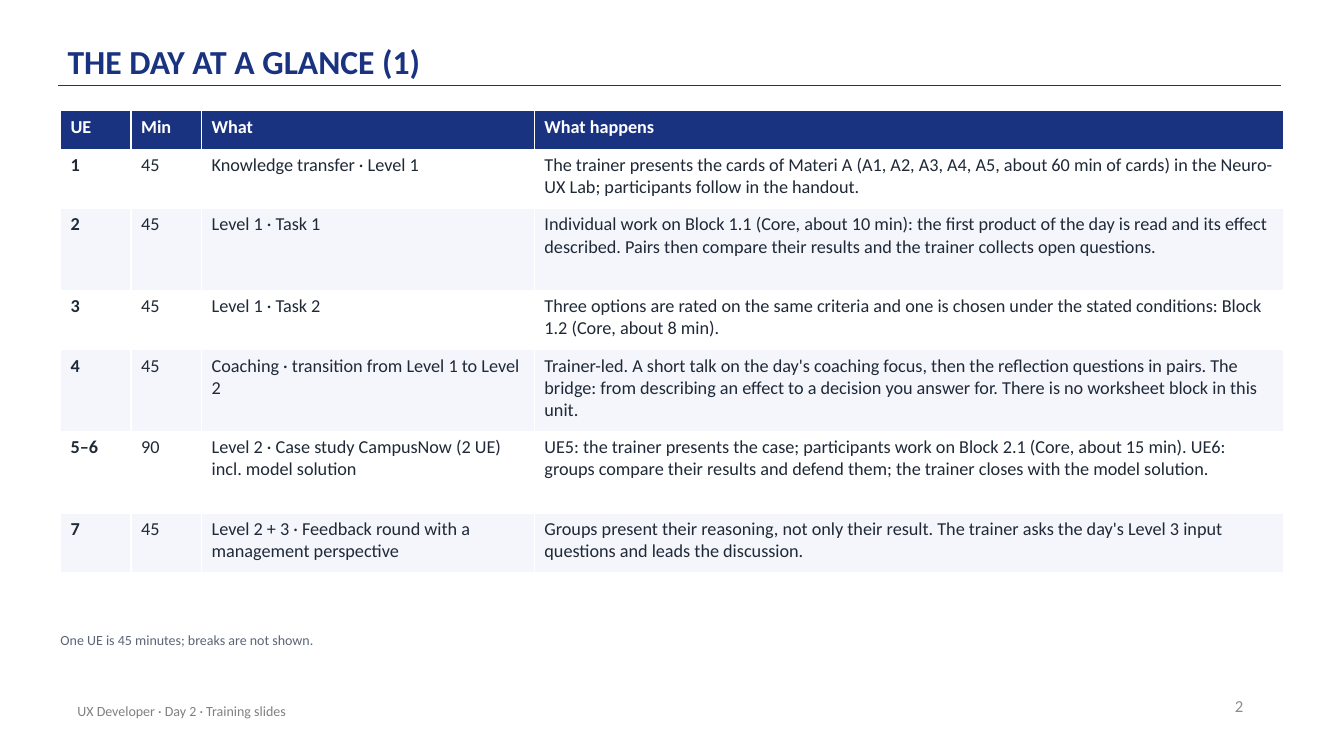
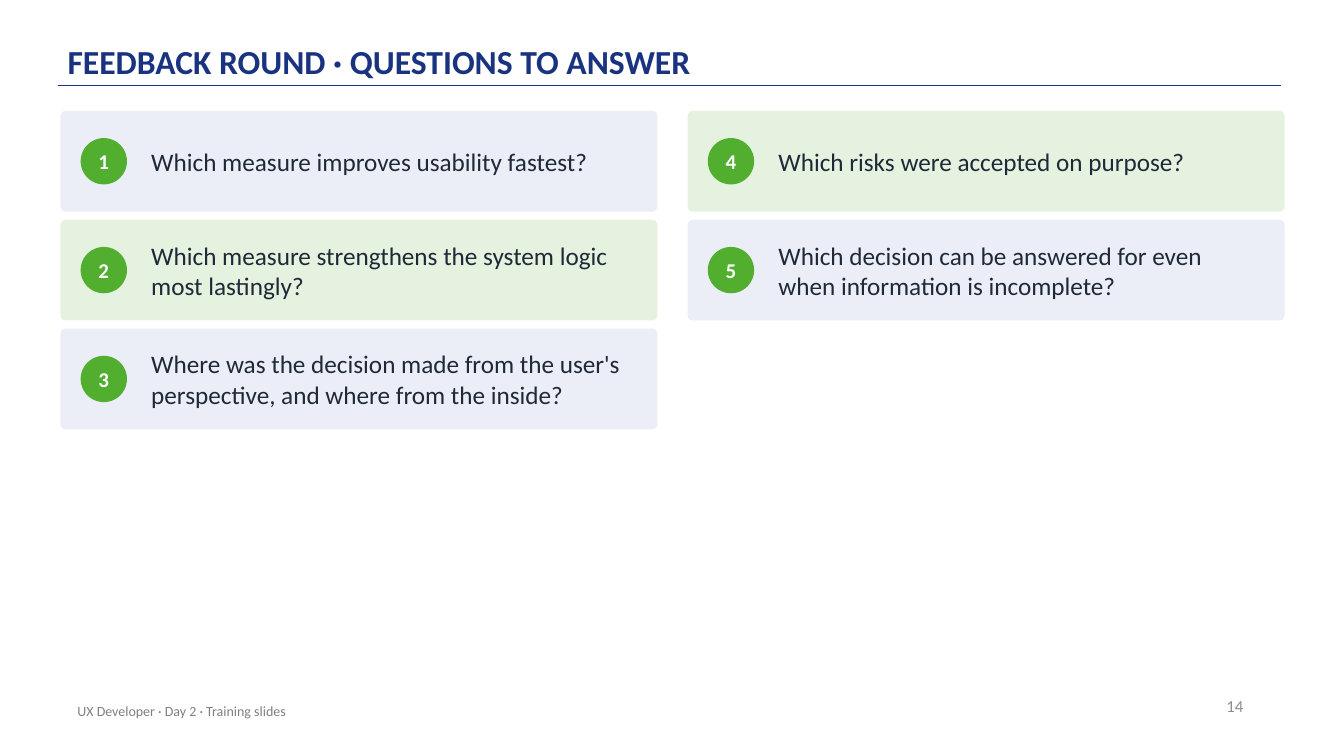
from dataclasses import dataclass
from lxml import etree
from pptx import Presentation
from pptx.dml.color import RGBColor
from pptx.enum.shapes import MSO_CONNECTOR, MSO_SHAPE
from pptx.enum.text import MSO_ANCHOR, MSO_AUTO_SIZE, PP_ALIGN
from pptx.oxml.ns import qn
from pptx.util import Inches, Pt

LEFT, MID, RIGHT = PP_ALIGN.LEFT, PP_ALIGN.CENTER, PP_ALIGN.RIGHT
CENTER, BOTTOM, TOP = MSO_ANCHOR.MIDDLE, MSO_ANCHOR.BOTTOM, MSO_ANCHOR.TOP
ROUND, OVAL = MSO_SHAPE.ROUNDED_RECTANGLE, MSO_SHAPE.OVAL
STRAIGHT, FIXED = MSO_CONNECTOR.STRAIGHT, MSO_AUTO_SIZE.NONE

# Content
FOOTER = "UX Developer · Day 2 · Training slides"
DAY = {
    "title": "THE DAY AT A GLANCE (1)",
    "page": "2",
    "note": "One UE is 45 minutes; breaks are not shown.",
    "cols": [0.7, 0.7, 3.3, 7.43],
    "heights": [0.38, 0.59, 0.81, 0.59, 0.81, 0.81, 0.59],
    "rows": [
        ("UE", "Min", "What", "What happens"),
        ("1", "45", "Knowledge transfer · Level 1",
         "The trainer presents the cards of Materi A (A1, A2, A3, A4, A5, about 60 min of cards) "
         "in the Neuro-UX Lab; participants follow in the handout."),
        ("2", "45", "Level 1 · Task 1",
         "Individual work on Block 1.1 (Core, about 10 min): the first product of the day is read "
         "and its effect described. Pairs then compare their results and the trainer collects "
         "open questions."),
        ("3", "45", "Level 1 · Task 2",
         "Three options are rated on the same criteria and one is chosen under the stated "
         "conditions: Block 1.2 (Core, about 8 min)."),
        ("4", "45", "Coaching · transition from Level 1 to Level 2",
         "Trainer-led. A short talk on the day's coaching focus, then the reflection questions in "
         "pairs. The bridge: from describing an effect to a decision you answer for. There is no "
         "worksheet block in this unit."),
        ("5–6", "90", "Level 2 · Case study CampusNow (2 UE) incl. model solution",
         "UE5: the trainer presents the case; participants work on Block 2.1 (Core, about "
         "15 min). UE6: groups compare their results and defend them; the trainer closes with "
         "the model solution."),
        ("7", "45", "Level 2 + 3 · Feedback round with a management perspective",
         "Groups present their reasoning, not only their result. The trainer asks the day's "
         "Level 3 input questions and leads the discussion."),
    ],
}
ROUNDUP = {
    "title": "FEEDBACK ROUND · QUESTIONS TO ANSWER",
    "page": "14",
    "asks": [
        "Which measure improves usability fastest?",
        "Which measure strengthens the system logic most lastingly?",
        "Where was the decision made from the user's perspective, and where from the inside?",
        "Which risks were accepted on purpose?",
        "Which decision can be answered for even when information is incomplete?",
    ],
}


# Theme
@dataclass(frozen=True)
class Theme:
    font: str = "Calibri"
    navy: str = "1A3381"
    ink: str = "1F2937"
    white: str = "FFFFFF"
    green: str = "51AE2F"
    muted: str = "5B6577"
    foot: str = "808080"
    page: str = "8C8C8C"
    bands: tuple = ("F4F6FB", "FFFFFF")
    cards: tuple = ("ECEEF7", "E5F2DF")
    title: int = 24
    ask: int = 18
    badge: int = 15
    cell: int = 13
    number: int = 12
    small: int = 10


T = Theme()
EDGE, HEAD = 0.6, 1.1
CARD = {"w": 5.92, "h": 1, "dx": 6.22, "dy": 1.08, "rows": 3}
DOT, DOT_X, ASK_X, PAD = 0.46, 0.2, 0.9, 0.2


def inch(*nums):
    return [Inches(n) for n in nums]


def style(item, values):
    for name, value in values.items():
        setattr(item, name, value)


def paint(item, color):
    item.fill.solid()
    item.fill.fore_color.rgb = RGBColor.from_string(color)


def write(frame, text, size, color, bold=False, align=LEFT, **para):
    frame.text = text
    line = frame.paragraphs[0]
    style(line, {"alignment": align, **para})
    style(line.font, {"name": T.font, "size": Pt(size), "bold": bold})
    line.font.color.rgb = RGBColor.from_string(color)


def inset(frame, x, y):
    style(frame, {"margin_left": Inches(x), "margin_right": Inches(x),
                  "margin_top": Inches(y), "margin_bottom": Inches(y)})


def label(slide, box, text, size, color, pad=(0, 0), anchor=CENTER, **para):
    frame = slide.shapes.add_textbox(*inch(*box)).text_frame
    style(frame, {"word_wrap": True, "vertical_anchor": anchor})
    inset(frame, *pad)
    write(frame, text, size, color, **para)


def shape(slide, kind, box, color):
    part = slide.shapes.add_shape(kind, *inch(*box))
    part.shadow.inherit = False
    paint(part, color)
    part.line.fill.background()
    return part


# Shared frame: rule, title, page number, footer
def start(deck, data):
    slide = deck.slides.add_slide(deck.slide_layouts[5])
    rule = slide.shapes.add_connector(STRAIGHT, *inch(0.58, 0.85, 12.71, 0.85))
    rule.line.color.rgb = RGBColor.from_string(T.navy)
    rule.line.width = Pt(1)
    etree.SubElement(rule._element.spPr, qn("a:effectLst"))

    title = slide.shapes.title
    style(title, dict(zip(("left", "top", "width", "height"), inch(0.67, 0.12, 11, 0.72))))
    frame = title.text_frame
    style(frame, {"word_wrap": True, "vertical_anchor": BOTTOM, "auto_size": FIXED})
    inset(frame, 0, 0.03)
    write(frame, data["title"], T.title, T.navy, bold=True, line_spacing=0.9)

    pad = (0.1, 0.05)
    label(slide, (9.43, 6.8, 3, 0.4), data["page"], T.number, T.page, pad, align=RIGHT)
    label(slide, (0.67, 6.85, 6.7, 0.4), FOOTER, T.small, T.foot, pad)
    return slide


def agenda(deck, data):
    slide = start(deck, data)
    rows, cols, tall = data["rows"], data["cols"], data["heights"]
    box = inch(EDGE, HEAD, sum(cols), sum(tall))
    grid = slide.shapes.add_table(len(rows), len(cols), *box).table
    for col, width in zip(grid.columns, cols):
        col.width = Inches(width)
    for row, height in zip(grid.rows, tall):
        row.height = Inches(height)
    for r, texts in enumerate(rows):
        head = r == 0
        for c, text in enumerate(texts):
            cell = grid.cell(r, c)
            paint(cell, T.navy if head else T.bands[r % 2])
            write(cell.text_frame, text, T.cell, T.white if head else T.ink,
                  bold=head or c == 0)
    label(slide, (EDGE, 6.27, 12.1, 0.3), data["note"], T.small, T.muted,
          anchor=TOP, space_after=Pt(6))


def cards(deck, data):
    slide = start(deck, data)
    wide, high = CARD["w"], CARD["h"]
    for i, ask in enumerate(data["asks"]):
        col, row = divmod(i, CARD["rows"])
        x, y = EDGE + col * CARD["dx"], HEAD + row * CARD["dy"]
        card = shape(slide, ROUND, (x, y, wide, high), T.cards[i % 2])
        card.adjustments[0] = 0.05
        spot = (x + DOT_X, y + (high - DOT) / 2, DOT, DOT)
        frame = shape(slide, OVAL, spot, T.green).text_frame
        frame.vertical_anchor = CENTER
        inset(frame, 0, 0)
        write(frame, str(i + 1), T.badge, T.white, bold=True, align=MID)
        label(slide, (x + ASK_X, y, wide - ASK_X - PAD, high), ask, T.ask, T.ink)


def main():
    deck = Presentation()
    deck.slide_width, deck.slide_height = inch(13.33, 7.5)
    agenda(deck, DAY)
    cards(deck, ROUNDUP)
    deck.save("out.pptx")


if __name__ == "__main__":
    main()
